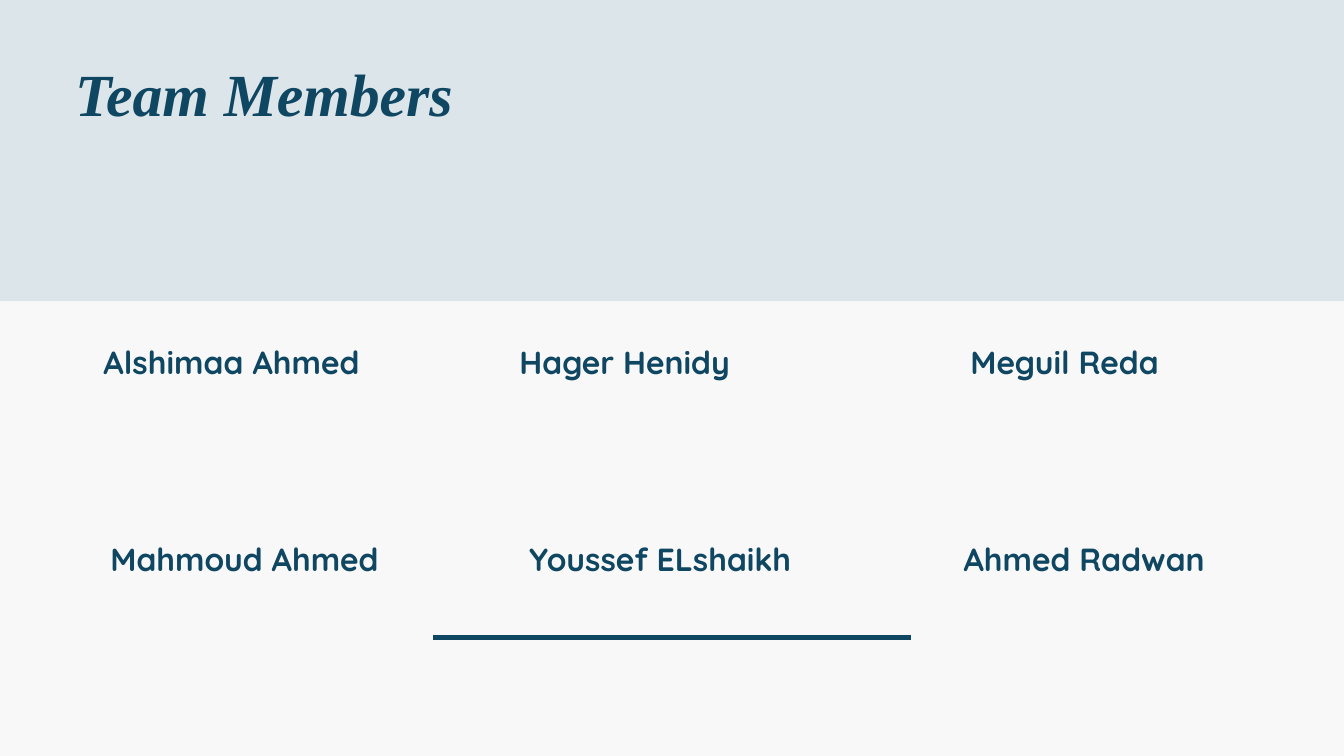
from lxml.etree import SubElement
from pptx import Presentation
from pptx.dml.color import RGBColor as RGB
from pptx.enum.shapes import MSO_CONNECTOR, MSO_SHAPE
from pptx.enum.text import MSO_AUTO_SIZE as AutoSize, PP_ALIGN as Align
from pptx.oxml.ns import qn
from pptx.util import Cm, Pt

# Content: each row is its top and its (left, name) pairs, in cm
HEADING = "Team Members"
TEAM_ROWS = [
    (12.7, [(1.78, "Alshimaa Ahmed"), (16.64, "Hager Henidy"), (33.27, "Meguil Reda")]),
    (20.17, [(2.44, "Mahmoud Ahmed "), (17.98, "Youssef ELshaikh"), (34.01, "Ahmed Radwan")]),
]

THEME = {
    "page": RGB.from_string("F8F8F8"),
    "band": RGB.from_string("DBE5EA"),
    "ink": RGB.from_string("0F4662"),
    "heading": {"font": "Times New Roman", "size": 64, "leading": 89.6, "italic": True},
    "member": {"font": "Quicksand", "size": 34.2, "leading": 47.9, "italic": False},
}

SLIDE_W = 50.8
SLIDE_H = SLIDE_W * 9 / 16
BAND_H = 11.38
MEMBER_W, MEMBER_H = 13.94, 1.57
RULE_W, RULE_Y = 18.04, 24.1


def add_label(slide, words, left, top, width, height, style, align):
    label = slide.shapes.add_textbox(Cm(left), Cm(top), Cm(width), Cm(height))
    frame = label.text_frame
    frame.margin_left = frame.margin_right = frame.margin_top = frame.margin_bottom = 0
    frame.word_wrap = True
    frame.auto_size = AutoSize.SHAPE_TO_FIT_TEXT
    line = frame.paragraphs[0]
    line.text = words
    line.alignment = align
    line.line_spacing = Pt(style["leading"])
    line.font.name = style["font"]
    line.font.size = Pt(style["size"])
    line.font.bold = True
    line.font.italic = style["italic"]
    line.font.color.rgb = THEME["ink"]


def main():
    deck = Presentation()
    deck.slide_width, deck.slide_height = Cm(SLIDE_W), Cm(SLIDE_H)
    slide = deck.slides.add_slide(deck.slide_layouts[6])
    slide.background.fill.solid()
    slide.background.fill.fore_color.rgb = THEME["page"]

    # Heading band
    band = slide.shapes.add_shape(MSO_SHAPE.RECTANGLE, 0, 0, Cm(SLIDE_W), Cm(BAND_H))
    band.shadow.inherit = False
    band.fill.solid()
    band.fill.fore_color.rgb = THEME["band"]
    band.line.fill.background()
    add_label(slide, HEADING, 2.84, 1.68, 27.53, 3.02, THEME["heading"], Align.LEFT)

    # Team members
    for top, members in TEAM_ROWS:
        for left, name in members:
            add_label(slide, name, left, top, MEMBER_W, MEMBER_H, THEME["member"], Align.CENTER)

    # Closing rule, centred on the slide
    rule_left = (SLIDE_W - RULE_W) / 2
    rule = slide.shapes.add_connector(
        MSO_CONNECTOR.STRAIGHT, Cm(rule_left), Cm(RULE_Y), Cm(rule_left + RULE_W), Cm(RULE_Y))
    rule.line.color.rgb = THEME["ink"]
    rule.line.width = Pt(6)
    SubElement(rule.element.spPr, qn("a:effectLst"))

    deck.save("out.pptx")


if __name__ == "__main__":
    main()
